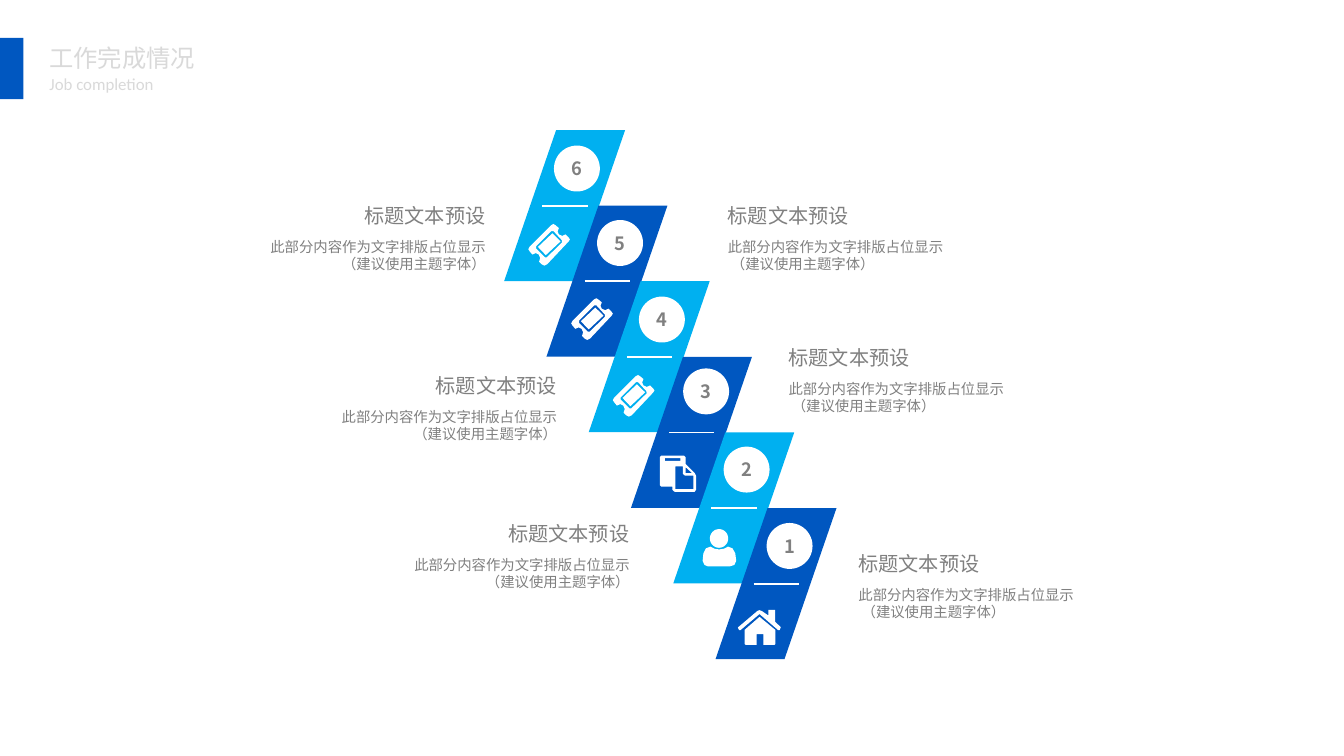
"""Build the job completion slide: six slanted steps with captions on both sides."""
from math import cos, pi, sin

from lxml.etree import SubElement
from pptx import Presentation
from pptx.dml.color import RGBColor
from pptx.enum.shapes import MSO_CONNECTOR as Connector, MSO_SHAPE as Preset
from pptx.enum.text import MSO_ANCHOR as Anchor, MSO_AUTO_SIZE as AutoSize, PP_ALIGN as Align
from pptx.oxml.ns import qn
from pptx.util import Pt

DARK_BLUE = RGBColor(0x00, 0x57, 0xC0)
LIGHT_BLUE = RGBColor(0x00, 0xB0, 0xF0)
WHITE = RGBColor(0xFF, 0xFF, 0xFF)
GREY = RGBColor(0x80, 0x80, 0x80)
PALE_GREY = RGBColor(0xD9, 0xD9, 0xD9)

CJK_FONT = "Noto Sans CJK SC"
LATIN_FONT = "Calibri"
HEADING = "标题文本预设"
DETAIL = "此部分内容作为文字排版占位显示\n （建议使用主题字体）"

TILE_LEFT, TILE_TOP = 270.1, 69.7
TILE_WIDTH, TILE_HEIGHT = 64.8, 80.9
STEP_X, STEP_Y = 22.65, 40.5
BADGE_SIZE = 24.6
HEADING_WIDTH, DETAIL_WIDTH = 74.2, 135.4

TICKET = [
    [(10.1, 21.6), (8.6, 22.3), (7.2, 21.6), (5.8, 20.2), (6.4, 18.2), (5.6, 16.4),
     (4, 15.6), (2.2, 16.4), (0.7, 14.6), (0, 13.5), (0.7, 12.2), (12.2, 0.7),
     (13.5, 0), (14.6, 0.7), (16.4, 2.2), (15.7, 4), (16.4, 5.6), (18.2, 6.4),
     (20, 5.6), (21.6, 7.2), (22.3, 8.3), (21.6, 9.4)],
    [(18.1, 9.9), (18, 8.7), (13.5, 3.8), (12.4, 3.8), (4.2, 12), (4.2, 13.2),
     (8.9, 17.9), (9.9, 17.9)],
    [(17.3, 9.3), (9.4, 16.7), (5.2, 12.3), (12.9, 5)],
]
DOCUMENT = [
    [(19.4, 18.4), (18.7, 19.4), (7.9, 19.4), (6.8, 18.4), (6.8, 16.7), (0.8, 16.7),
     (0, 15.9), (0, 0.8), (0.8, 0), (13, 0), (13.8, 0.8), (13.8, 4.5), (18.7, 9.4),
     (19.4, 10.8)],
    [(2.7, 1.4), (11, 1.4), (11, 2.8), (2.7, 2.8)],
    [(18, 18), (18, 10.8), (13.5, 10.8), (12.4, 9.8), (12.4, 5.8), (8.4, 5.8), (8.4, 18)],
    [(17.3, 9.4), (13.8, 9.4), (13.8, 6.2)],
]
PERSON = [
    [(8.8 + 4.9 * cos(pi * i / 16), 5 + 5 * sin(pi * i / 16)) for i in range(32)],
    [(14.4, 20), (2.9, 20), (1, 19.2), (0, 17), (0.4, 13), (1.8, 10.3), (4.2, 9.4),
     (6.3, 10.5), (8.8, 10.9), (11.4, 10.5), (13.6, 9.4), (16, 10.3), (17.5, 13),
     (18, 17), (17, 19.2)],
]
HOUSE = [
    [(22.4, 10.8), (21.6, 10.8), (11.6, 2.2), (1.4, 10.8), (0.7, 10.8), (0, 9.4),
     (10.4, 0.6), (11.5, 0.1), (12.9, 0.6), (16.4, 3), (16.4, 0), (20, 0), (20, 6.4),
     (23, 9.2)],
    [(20.1, 18.2), (19.6, 18.7), (13.7, 18.7), (13.7, 13), (10.1, 13), (10.1, 18.7),
     (4.2, 18.7), (3.6, 18.2), (3.6, 10.7), (11.6, 3.7), (20.1, 10.7)],
]

STEPS = [
    (6, (296.8, 78), TICKET, (283, 120), (267.1, 105.3)),
    (5, (319.9, 117.9), TICKET, (306, 159.8), (382.8, 105.3)),
    (4, (342.3, 158.9), TICKET, (328.3, 200.9), (305.3, 196.6)),
    (3, (366, 197.4), DOCUMENT, (353.5, 244.1), (415.4, 181.4)),
    (2, (387.7, 239.3), PERSON, (376.4, 283.5), (344.2, 275.8)),
    (1, (410.7, 280.2), HOUSE, (395.3, 326.8), (452.8, 291.7)),
]


def paint(shape, color):
    shape.shadow.inherit = False
    shape.fill.solid()
    shape.fill.fore_color.rgb = color
    shape.line.fill.background()


def add_block(slide, preset, left, top, width, height, color):
    block = slide.shapes.add_shape(preset, Pt(left), Pt(top), Pt(width), Pt(height))
    paint(block, color)
    return block


def write(frame, text, size, color, align=Align.LEFT, font=CJK_FONT, bold=False):
    paragraph = frame.paragraphs[0]
    paragraph.text = text
    paragraph.alignment = align
    for run in paragraph.runs:
        run.font.size = Pt(size)
        run.font.bold = bold
        run.font.color.rgb = color
        run.font.name = font
        SubElement(run.font._element, qn("a:ea"), typeface=font)


def add_text(slide, left, top, width, height, text, size, color, wrap=False, **style):
    frame = slide.shapes.add_textbox(Pt(left), Pt(top), Pt(width), Pt(height)).text_frame
    frame.word_wrap = wrap
    write(frame, text, size, color, **style)
    return frame


def add_header(slide):
    add_block(slide, Preset.RECTANGLE, 0, 20.3, 12.6, 32.8, DARK_BLUE)
    title = add_text(slide, 20.7, 20.2, 90, 20.9, "工作完成情况", 13, PALE_GREY)
    subtitle = add_text(slide, 20.7, 36.7, 67.7, 16.6, "Job completion", 9, PALE_GREY,
                        font=LATIN_FONT)
    for frame in (title, subtitle):
        frame.auto_size = AutoSize.SHAPE_TO_FIT_TEXT
        frame.margin_left = frame.margin_right = Pt(5.8)
        frame.margin_top = frame.margin_bottom = Pt(2.9)


def add_divider(slide, left, top):
    divider = slide.shapes.add_connector(
        Connector.STRAIGHT, Pt(left), Pt(top), Pt(left + 24.3), Pt(top))
    divider.line.color.rgb = WHITE
    divider.line.width = Pt(1)
    SubElement(divider._element.spPr, qn("a:effectLst"))


def add_badge(slide, left, top, number):
    badge = add_block(slide, Preset.OVAL, left, top, BADGE_SIZE, BADGE_SIZE, WHITE)
    badge.text_frame.word_wrap = False
    badge.text_frame.vertical_anchor = Anchor.MIDDLE
    write(badge.text_frame, str(number), 9.8, GREY, Align.CENTER, bold=True)


def add_icon(slide, left, top, outlines):
    placed = [[(Pt(left + x), Pt(top + y)) for x, y in outline] for outline in outlines]
    builder = slide.shapes.build_freeform(*placed[0][0])
    builder.add_line_segments(placed[0][1:])
    for outline in placed[1:]:
        builder.move_to(*outline[0])
        builder.add_line_segments(outline[1:])
    paint(builder.convert_to_shape(), WHITE)


def add_caption(slide, edge, top, align):
    on_left = align == Align.RIGHT
    heading_left = edge - HEADING_WIDTH if on_left else edge
    detail_left = edge - DETAIL_WIDTH if on_left else edge
    heading = add_text(slide, heading_left, top, HEADING_WIDTH, 18, HEADING, 10.8, GREY,
                       align=align)
    if on_left:
        heading.margin_left = 0
    else:
        heading.margin_right = 0
    add_text(slide, detail_left, top + 18.5, DETAIL_WIDTH, 35.3, DETAIL, 7.7, GREY,
             wrap=True, align=align)


def add_step(slide, index, number, badge, icon, icon_corner, caption):
    left, top = TILE_LEFT + index * STEP_X, TILE_TOP + index * STEP_Y
    on_left = number % 2 == 0
    tile = add_block(slide, Preset.PARALLELOGRAM, left, top, TILE_WIDTH, TILE_HEIGHT,
                     LIGHT_BLUE if on_left else DARK_BLUE)
    tile.adjustments[0] = 0.43
    add_divider(slide, left + 20.4, top + 40.5)
    add_badge(slide, *badge, number)
    add_icon(slide, *icon_corner, icon)
    add_caption(slide, *caption, Align.RIGHT if on_left else Align.LEFT)


def main():
    deck = Presentation()
    deck.slide_width, deck.slide_height = Pt(720), Pt(405)
    slide = deck.slides.add_slide(deck.slide_layouts[6])
    add_header(slide)
    for index, step in enumerate(STEPS):
        add_step(slide, index, *step)
    deck.save("out.pptx")


if __name__ == "__main__":
    main()
